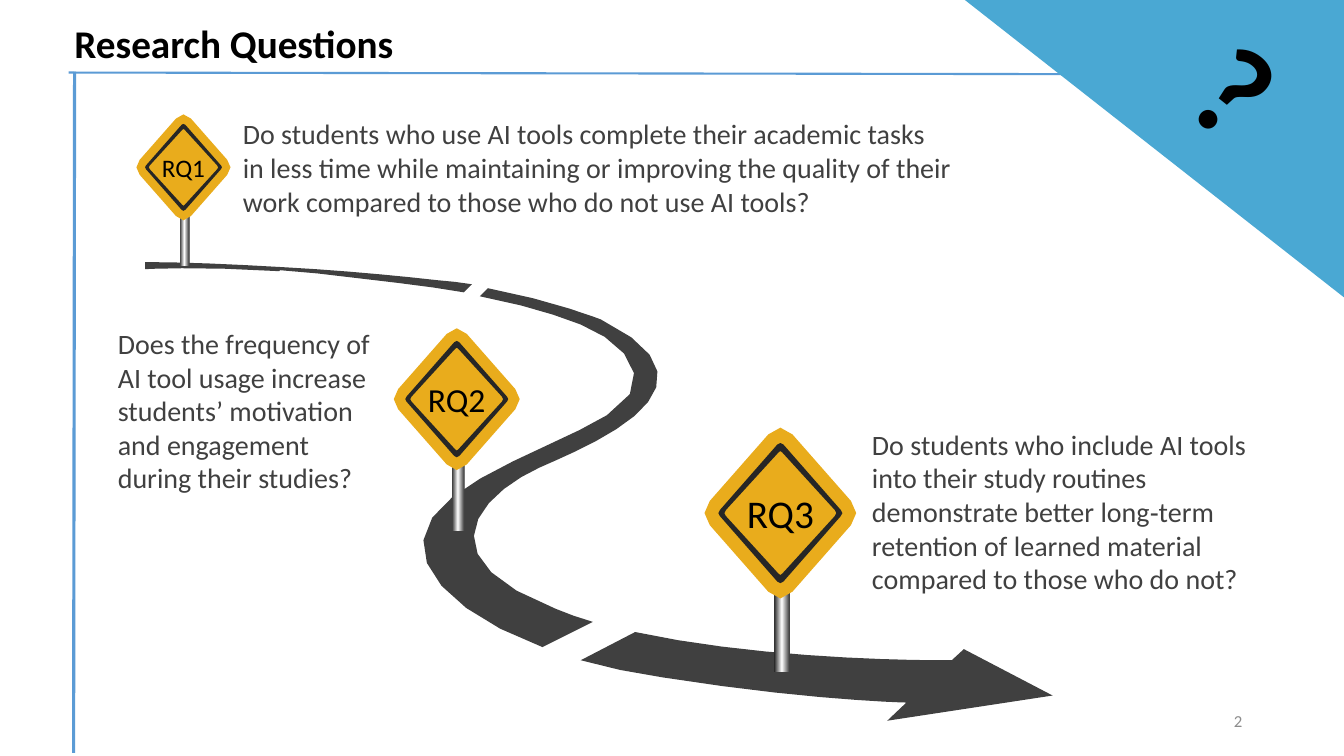
from math import dist

from lxml import etree
from pptx import Presentation
from pptx.dml.color import RGBColor
from pptx.enum import shapes, text
from pptx.oxml import parse_xml
from pptx.oxml.ns import nsdecls, qn
from pptx.util import Inches, Pt

# Content
TITLE = "Research Questions"
PAGE_NUMBER = "2"
QUESTIONS = [  # wording, (left, top, width, height)
    ("Do students who use AI tools complete their academic tasks in less time while "
     "maintaining or improving the quality of their work compared to those who do not "
     "use AI tools?", (2.31, 1.11, 7.23, 1.11)),
    ("Does the frequency of AI tool usage increase students’ motivation and engagement "
     "during their studies?", (1.07, 3.19, 2.82, 1.78)),
    ("Do students who include AI tools into their study routines demonstrate better "
     "long‑term retention of learned material compared to those who do not?",
     (8.55, 4.19, 4.29, 1.78)),
]
SIGNS = [  # label, centre, scale, text size
    ("RQ1", (1.82, 1.66), 0.62, 18),
    ("RQ2", (4.53, 3.96), 0.83, 24),
    ("RQ3", (7.74, 5.09), 1, 28),
]
RULES = [  # start, end, weight
    ((0.68, 0.72), (13.33, 0.74), 1.5),
    ((0.74, 0.71), (0.73, 7.47), 2.25),
]

# Outlines: two numbers are a straight step, six are a Bezier step
ROAD = [
    [(1.44, 2.6), (1.44, 2.67), (1.44, 2.67, 1.97, 2.64, 2.77, 2.69), (2.8, 2.65),
     (2.29, 2.62, 1.8, 2.6, 1.44, 2.6)],
    [(4.34, 2.78), (3.9, 2.73, 3.35, 2.68, 2.8, 2.65), (2.77, 2.68),
     (3.01, 2.7, 3.27, 2.72, 3.55, 2.76), (3.98, 2.81, 4.32, 2.85, 4.6, 2.9),
     (4.68, 2.82), (4.57, 2.8, 4.45, 2.79, 4.34, 2.78)],
    [(5.51, 6.04), (4.13, 5.51, 4.82, 4.88, 5.35, 4.64),
     (5.89, 4.4, 7.31, 3.83, 5.96, 3.17), (5.96, 3.17, 5.48, 2.98, 4.84, 2.86),
     (4.76, 2.94), (5.22, 3.03, 5.5, 3.12, 5.76, 3.22),
     (6.17, 3.38, 6.58, 3.78, 6.02, 4.12), (5.47, 4.46, 4.25, 4.81, 4.2, 5.36),
     (4.16, 5.73, 4.62, 6.14, 5.38, 6.42), (5.88, 6.17),
     (5.75, 6.13, 5.62, 6.09, 5.51, 6.04)],
    [(10.44, 6.9), (9.56, 6.44), (9.44, 6.55), (9.44, 6.55, 7.68, 6.57, 6.3, 6.27),
     (5.76, 6.55), (6.01, 6.62, 6.28, 6.68, 6.57, 6.72),
     (8.02, 6.95, 8.99, 6.97, 8.99, 6.97), (8.8, 7.15)],
]
# Diamonds about their centre: end of side at right, end of side at bottom, corner pull
PLATE = ((0.7, 0.12), (0.12, 0.78), (0.77, 0.87))
FRAME_OUTER = ((0.6, 0.03), (0.03, 0.68), (0.62, 0.7))
FRAME_INNER = ((0.54, 0.03), (0.02, 0.6), (0.56, 0.62))

FONT = "Calibri"
ASPHALT, YELLOW, FRAME, BLACK = "404040", "E9AC1C", "262626", "000000"
RULE_BLUE, CORNER_BLUE, GREY = "5B9BD5", "4AA8D3", "8C8C8C"
POST_STOPS = [(0, "262626"), (50, "FFFFFF"), (100, "404040")]

prs = Presentation()
prs.slide_width, prs.slide_height = Inches(13.33), Inches(7.5)
slide = prs.slides.add_slide(prs.slide_layouts[6])


def color(hex_code):
    return RGBColor.from_string(hex_code)


def finish(shape, fill=None):
    if fill:
        shape.fill.solid()
        shape.fill.fore_color.rgb = color(fill)
    shape.line.fill.background()
    shape.shadow.inherit = False


def flatten(outline):
    """Turn Bezier steps into short chords, more of them on longer curves."""
    points = [outline[0]]
    for step in outline[1:]:
        if len(step) == 2:
            points.append(step)
            continue
        start, c1, c2, end = points[-1], step[:2], step[2:4], step[4:]
        length = dist(start, c1) + dist(c1, c2) + dist(c2, end)
        chords = max(2, round(3 * length))
        for i in range(1, chords + 1):
            t = i / chords
            u = 1 - t
            points.append(tuple(
                u**3 * a + 3 * u * u * t * b + 3 * u * t * t * c + t**3 * d
                for a, b, c, d in zip(start, c1, c2, end)))
    return points


def add_outline(outlines, fill):
    contours = [[(Inches(x), Inches(y)) for x, y in flatten(o)] for o in outlines]
    builder = slide.shapes.build_freeform(*contours[0][0])
    for i, contour in enumerate(contours):
        if i:
            builder.move_to(*contour[0])
        builder.add_line_segments(contour[1:], close=True)
    finish(builder.convert_to_shape(), fill)


def diamond(center, scale, measures):
    (rx, ry), (bx, by), (pull_x, pull_y) = measures
    half_y, half_x = ry * 0.45, bx * 0.45
    steps = [
        (rx, -ry), (pull_x, -half_y, pull_x, half_y, rx, ry),
        (bx, by), (half_x, pull_y, -half_x, pull_y, -bx, by),
        (-rx, ry), (-pull_x, half_y, -pull_x, -half_y, -rx, -ry),
        (-bx, -by), (-half_x, -pull_y, half_x, -pull_y, bx, -by),
    ]
    return [tuple(center[i % 2] + scale * v for i, v in enumerate(s)) for s in steps]


def add_text(words, box, size, ink, bold=False, font=FONT,
             align=text.PP_ALIGN.LEFT, anchor=text.MSO_ANCHOR.TOP):
    area = slide.shapes.add_textbox(*map(Inches, box))
    frame = area.text_frame
    frame.word_wrap = True
    frame.vertical_anchor = anchor
    paragraph = frame.paragraphs[0]
    paragraph.text = words
    paragraph.alignment = align
    paragraph.font.name, paragraph.font.size = font, Pt(size)
    paragraph.font.bold = bold
    paragraph.font.color.rgb = color(ink)
    return area


def add_post(center, scale):
    x, y = center
    post = slide.shapes.add_shape(
        shapes.MSO_SHAPE.RECTANGLE, Inches(x - 0.06 * scale), Inches(y + 0.78 * scale),
        Inches(0.15 * scale), Inches(0.8 * scale))
    stops = "".join(f'<a:gs pos="{pos * 1000}"><a:srgbClr val="{c}"/></a:gs>'
                    for pos, c in POST_STOPS)
    post._element.spPr.append(parse_xml(
        f'<a:gradFill {nsdecls("a")}><a:gsLst>{stops}</a:gsLst>'
        '<a:lin ang="0" scaled="0"/></a:gradFill>'))
    finish(post)


# Rules under the title and down the left edge
for start, end, weight in RULES:
    rule = slide.shapes.add_connector(
        shapes.MSO_CONNECTOR.STRAIGHT, *map(Inches, start + end))
    rule.line.color.rgb = color(RULE_BLUE)
    rule.line.width = Pt(weight)
    etree.SubElement(rule._element.spPr, qn("a:effectLst"))

# Road
for stretch in ROAD:
    add_outline([stretch], ASPHALT)

# Questions
for question, box in QUESTIONS:
    add_text(question, box, 20, ASPHALT)

# Road signs
for label, center, scale, size in SIGNS:
    add_post(center, scale)
    add_outline([diamond(center, scale, PLATE)], YELLOW)
    add_outline([diamond(center, scale, m) for m in (FRAME_OUTER, FRAME_INNER)], FRAME)
    width, height = 1.33 * scale, size / 50
    add_text(label, (center[0] - width / 2, center[1] - height / 2, width, height),
             size, BLACK, align=text.PP_ALIGN.CENTER, anchor=text.MSO_ANCHOR.MIDDLE)

# Corner with question mark
corner = slide.shapes.add_shape(
    shapes.MSO_SHAPE.RIGHT_TRIANGLE, Inches(9.57), 0, Inches(3.76), Inches(2.95))
corner.rotation = 180
finish(corner, CORNER_BLUE)
question_mark = add_text("?", (11.88, 0.32, 0.9, 1.19), 88, BLACK, bold=True, font="Lato")
question_mark.rotation = 38.7
question_mark.text_frame.paragraphs[0].line_spacing = 0.9

# Page number and title
add_text(PAGE_NUMBER, (9.42, 6.95, 3, 0.4), 12, GREY,
         align=text.PP_ALIGN.RIGHT, anchor=text.MSO_ANCHOR.MIDDLE)
add_text(TITLE, (0.64, 0.14, 6.29, 0.57), 28, BLACK, bold=True)

prs.save("out.pptx")
